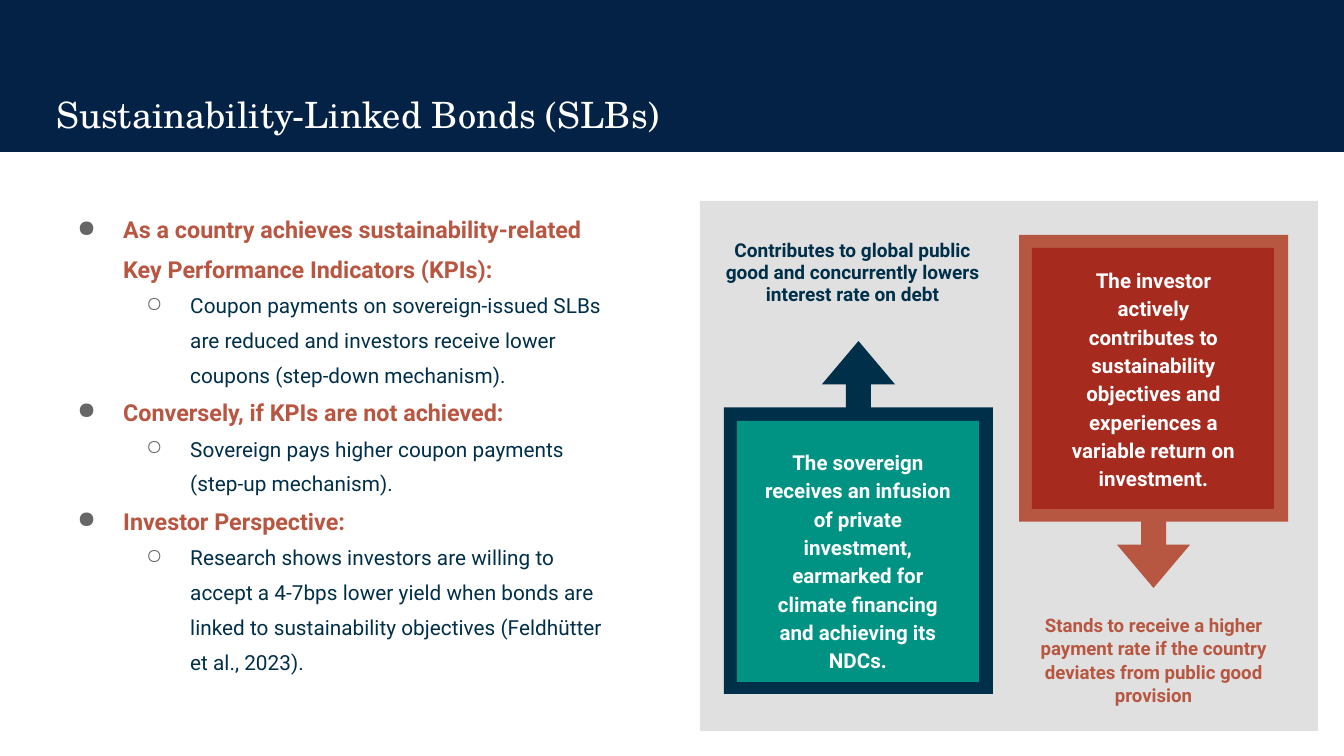
import pptx
import pptx.util
import pptx.dml.color
import pptx.enum.shapes
import pptx.enum.text
import pptx.oxml.ns
from lxml import etree

SCALE = 914400 / 134.4
SHAPE = pptx.enum.shapes.MSO_SHAPE
ALIGN = pptx.enum.text.PP_ALIGN
NAVY, TEAL, RUST, BRICK = "002F4A", "009384", "B85741", "A72A1E"
WHITE = "FFFFFF"
POINTS = [
    ("As a country achieves sustainability-related Key Performance Indicators (KPIs):",
     "Coupon payments on sovereign-issued SLBs are reduced and investors receive "
     "lower coupons (step-down mechanism)."),
    ("Conversely, if KPIs are not achieved:",
     "Sovereign pays higher coupon payments (step-up mechanism)."),
    ("Investor Perspective:",
     "Research shows investors are willing to accept a 4-7bps lower yield when bonds "
     "are linked to sustainability objectives (Feldhütter et al., 2023)."),
]


def px(size):
    """Turn pixels into EMU."""
    return pptx.util.Emu(round(size * SCALE))


def color(code):
    """Turn a hex string into a colour."""
    return pptx.dml.color.RGBColor.from_string(code)


def shape(slide, kind, area, fill, turn=0):
    """Add a flat filled shape."""
    item = slide.shapes.add_shape(kind, *map(px, area))
    item.shadow.inherit = False
    item.fill.solid()
    item.fill.fore_color.rgb = color(fill)
    item.line.fill.background()
    item.rotation = turn
    return item


def frame(item):
    """Prepare the text frame of a box."""
    text = item.text_frame
    text.word_wrap = True
    text.auto_size = pptx.enum.text.MSO_AUTO_SIZE.NONE
    text.vertical_anchor = pptx.enum.text.MSO_ANCHOR.TOP
    for side in ("left", "top", "right", "bottom"):
        setattr(text, f"margin_{side}", pptx.util.Inches(0.1))
    return text


def write(para, words, size, fill, gap, bold=False, font="Roboto"):
    """Add one formatted run to a paragraph."""
    para.line_spacing = gap
    run = para.add_run()
    run.text = words
    run.font.name = font
    run.font.size = pptx.util.Pt(size)
    run.font.bold = bold
    run.font.color.rgb = color(fill)


def bullet(para, level, mark, left, hang):
    """Give a paragraph a grey bullet with a hanging indent."""
    para.level = level
    props = para._p.get_or_add_pPr()
    props.set("marL", str(px(left)))
    props.set("indent", str(px(-hang)))
    tint = etree.SubElement(props, pptx.oxml.ns.qn("a:buClr"))
    etree.SubElement(tint, pptx.oxml.ns.qn("a:srgbClr"), val="666666")
    etree.SubElement(props, pptx.oxml.ns.qn("a:buChar"), char=mark)


def title(slide, words):
    """Place and format the slide title."""
    item = slide.shapes.title
    item.left, item.top, item.width, item.height = map(px, (43, 82, 1258, 71))
    para = frame(item).paragraphs[0]
    para.alignment = ALIGN.LEFT
    write(para, words, 19.4, WHITE, 0.95, font="TeX Gyre Schola")


def points(slide, area):
    """Add the bulleted list of heads and details."""
    text = frame(slide.shapes.add_textbox(*map(px, area)))
    para = text.paragraphs[0]
    for head, detail in POINTS:
        if para is None:
            para = text.add_paragraph()
        bullet(para, 0, "●", 67, 46)
        write(para, head, 12.5, "B85641", 1.4, True)
        para = text.add_paragraph()
        bullet(para, 1, "○", 134, 44)
        write(para, detail, 11.1, NAVY, 1.4)
        para = None


def label(slide, area, words, size, fill, gap):
    """Add a centred bold text box."""
    para = frame(slide.shapes.add_textbox(*map(px, area))).paragraphs[0]
    para.alignment = ALIGN.CENTER
    write(para, words, size, fill, gap, True)


def callout(slide, left, top, fill, turn):
    """Add a turned arrow callout."""
    item = shape(slide, SHAPE.RIGHT_ARROW_CALLOUT, (left, top, 353, 269), fill, turn)
    for spot, value in enumerate((0.093, 0.136, 0.161, 0.812)):
        item.adjustments[spot] = value


def main():
    """Build the slide."""
    deck = pptx.Presentation()
    deck.slide_width, deck.slide_height = px(1344), px(756)
    slide = deck.slides.add_slide(deck.slide_layouts[5])
    shape(slide, SHAPE.RECTANGLE, (0, 0, 1345, 152), "042245")
    shape(slide, SHAPE.RECTANGLE, (700, 201, 618, 530), "E0E0E0")
    tree = slide.shapes._spTree
    tree.append(slide.shapes.title._element)
    title(slide, "Sustainability-Linked Bonds (SLBs)")
    points(slide, (43, 191, 589, 509))

    callout(slide, 682, 383, NAVY, 270)
    shape(slide, SHAPE.RECTANGLE, (737, 421, 242, 261), TEAL)
    label(slide, (747, 433, 222, 236),
          "The sovereign receives an infusion of private investment, earmarked for "
          "climate financing and achieving its NDCs.", 11, WHITE, 1.15)
    callout(slide, 977, 277, RUST, 90)
    shape(slide, SHAPE.RECTANGLE, (1032, 248, 242, 261), BRICK)
    label(slide, (1052, 251, 203, 217),
          "The investor actively contributes to sustainability objectives and "
          "experiences a variable return on investment.", 11, WHITE, 1.15)
    label(slide, (712, 227, 281, 114),
          "Contributes to global public good and concurrently lowers interest rate "
          "on debt", 10.2, NAVY, 0.95)
    label(slide, (1013, 599, 281, 144),
          "Stands to receive a higher payment rate if the country deviates from "
          "public good provision", 10, RUST, 1.05)
    deck.save("out.pptx")


if __name__ == "__main__":
    main()
